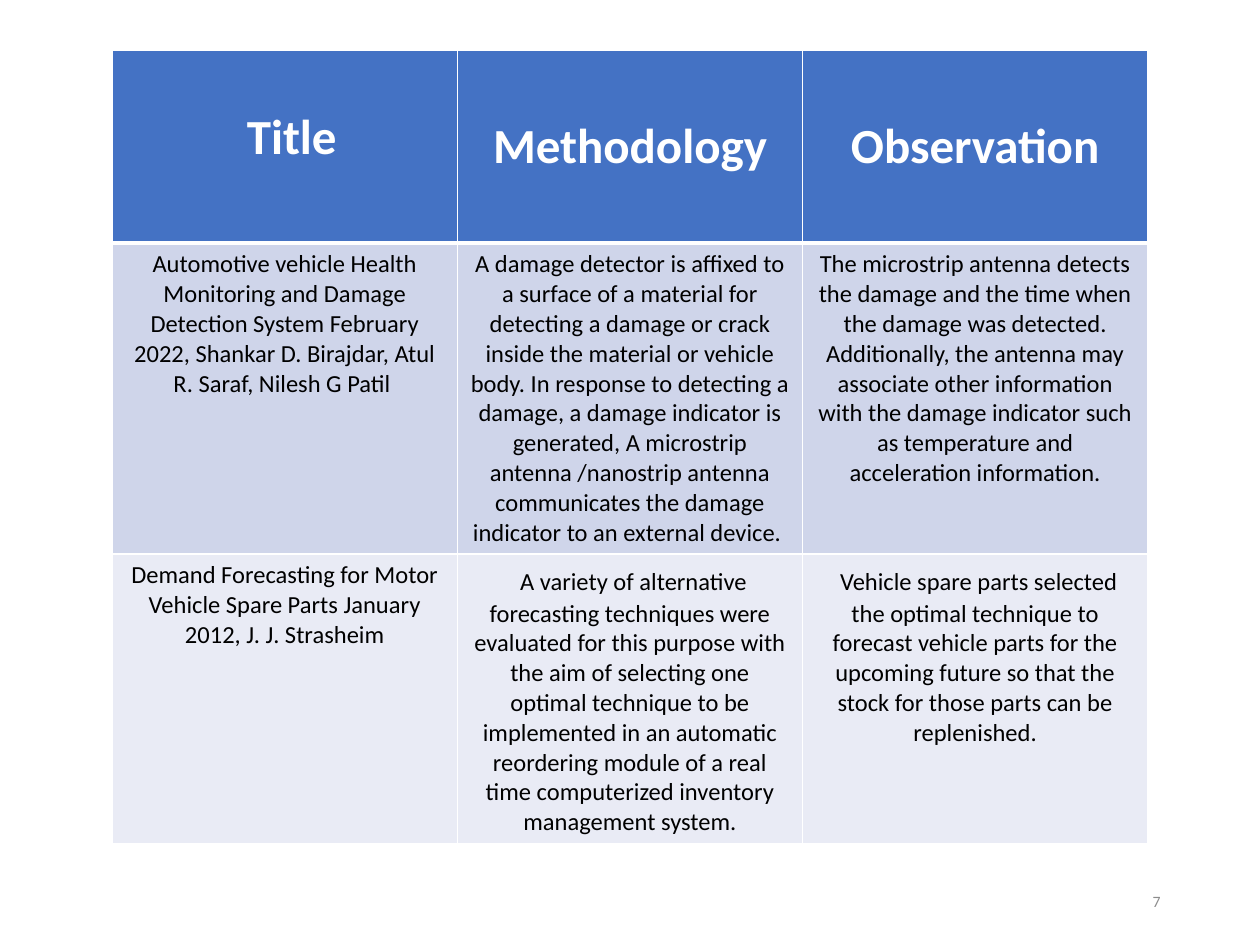
from dataclasses import dataclass

from lxml.etree import SubElement
from pptx import Presentation
from pptx.dml.color import RGBColor
from pptx.enum.text import MSO_ANCHOR, PP_ALIGN
from pptx.oxml.ns import qn
from pptx.util import Inches, Pt

HEADERS = ["Title", "Methodology", "Observation"]
# Each cell is a list of (text, size name) runs.
STUDIES = [
    [
        [("Automotive vehicle Health Monitoring and Damage Detection System February 2022, "
          "Shankar D. Birajdar, Atul R. Saraf, Nilesh G Patil ", "body")],
        [("A damage detector is affixed to a surface of a material for detecting a damage or "
          "crack inside the material or vehicle body. In response to detecting a damage, a "
          "damage indicator is generated, A microstrip antenna /nanostrip antenna communicates "
          "the damage indicator to an external device. ", "body")],
        [("The microstrip antenna detects the damage and the time when the damage was detected. "
          "Additionally, the antenna may associate other information with the damage indicator "
          "such as temperature and acceleration information.", "body")],
    ],
    [
        [("Demand Forecasting for Motor Vehicle Spare Parts January 2012, J. J. Strasheim", "body")],
        [(" ", "lead"),
         ("A variety of alternative forecasting techniques were evaluated for this purpose with "
          "the aim of selecting one optimal technique to be implemented in an automatic "
          "reordering module of a real time computerized inventory management system.", "body")],
        [(" ", "lead"),
         ("Vehicle spare parts selected the optimal technique to forecast vehicle parts for the "
          "upcoming future so that the stock for those parts can be replenished.", "body")],
    ],
]
PAGE_NUMBER = "7"


@dataclass(frozen=True)
class Theme:
    font: str = "Calibri"
    white: str = "FFFFFF"
    black: str = "000000"
    grey: str = "8C8C8C"
    row_fills: tuple = ("4472C4", "CFD5EA", "E9EBF5")
    header: int = 28
    lead: int = 18
    body: int = 14
    number: int = 9
    rule: int = 1
    header_rule: int = 3


THEME = Theme()
SLIDE_W, SLIDE_H = 10, 7.5
TABLE_LEFT, TABLE_TOP, TABLE_W = 0.89, 0.4, 8.22
ROW_HEIGHTS = [1.53, 1.42, 1.36]
HEADER_MARGINS = [
    {"margin_top": 0.46, "margin_left": 0.21},
    {"margin_top": 0.53},
    {"margin_top": 0.53},
]


def add_run(p, text, size, color, bold=False):
    r = p.add_run()
    r.text = text
    for name, value in {"name": THEME.font, "size": Pt(size), "bold": bold}.items():
        setattr(r.font, name, value)
    r.font.color.rgb = RGBColor.from_string(color)


def set_borders(cell, row):
    """White rules on all sides, thicker between header and body."""
    thick = {(0, "lnB"), (1, "lnT")}
    tc_pr = cell._tc.get_or_add_tcPr()
    for side in ("lnL", "lnR", "lnT", "lnB"):
        width = THEME.header_rule if (row, side) in thick else THEME.rule
        ln = SubElement(tc_pr, qn(f"a:{side}"), w=str(Pt(width)))
        fill = SubElement(ln, qn("a:solidFill"))
        SubElement(fill, qn("a:srgbClr"), val=THEME.white)


def add_study_table(s):
    rows = [[[(h, "header")] for h in HEADERS], *STUDIES]
    table = s.shapes.add_table(
        len(rows), len(HEADERS), Inches(TABLE_LEFT), Inches(TABLE_TOP),
        Inches(TABLE_W), Inches(sum(ROW_HEIGHTS))).table
    table.horz_banding = False
    for column in table.columns:
        column.width = Inches(TABLE_W / len(HEADERS))
    for i, (height, runs_by_column) in enumerate(zip(ROW_HEIGHTS, rows)):
        table.rows[i].height = Inches(height)
        for j, runs in enumerate(runs_by_column):
            cell = table.cell(i, j)
            set_borders(cell, i)
            cell.fill.solid()
            cell.fill.fore_color.rgb = RGBColor.from_string(THEME.row_fills[i])
            p = cell.text_frame.paragraphs[0]
            p.alignment = PP_ALIGN.CENTER
            is_header = i == 0
            for text, size in runs:
                add_run(p, text, getattr(THEME, size),
                        THEME.white if is_header else THEME.black, is_header)
            if is_header:
                for name, value in HEADER_MARGINS[j].items():
                    setattr(cell, name, Inches(value))


def add_page_number(s):
    tf = s.shapes.add_textbox(Inches(7.06), Inches(6.95), Inches(2.25), Inches(0.4)).text_frame
    tf.word_wrap = True
    tf.vertical_anchor = MSO_ANCHOR.MIDDLE
    p = tf.paragraphs[0]
    p.alignment = PP_ALIGN.RIGHT
    add_run(p, PAGE_NUMBER, THEME.number, THEME.grey)


def main():
    prs = Presentation()
    prs.slide_width, prs.slide_height = Inches(SLIDE_W), Inches(SLIDE_H)
    s = prs.slides.add_slide(prs.slide_layouts[6])
    add_study_table(s)
    add_page_number(s)
    prs.save("out.pptx")


if __name__ == "__main__":
    main()
